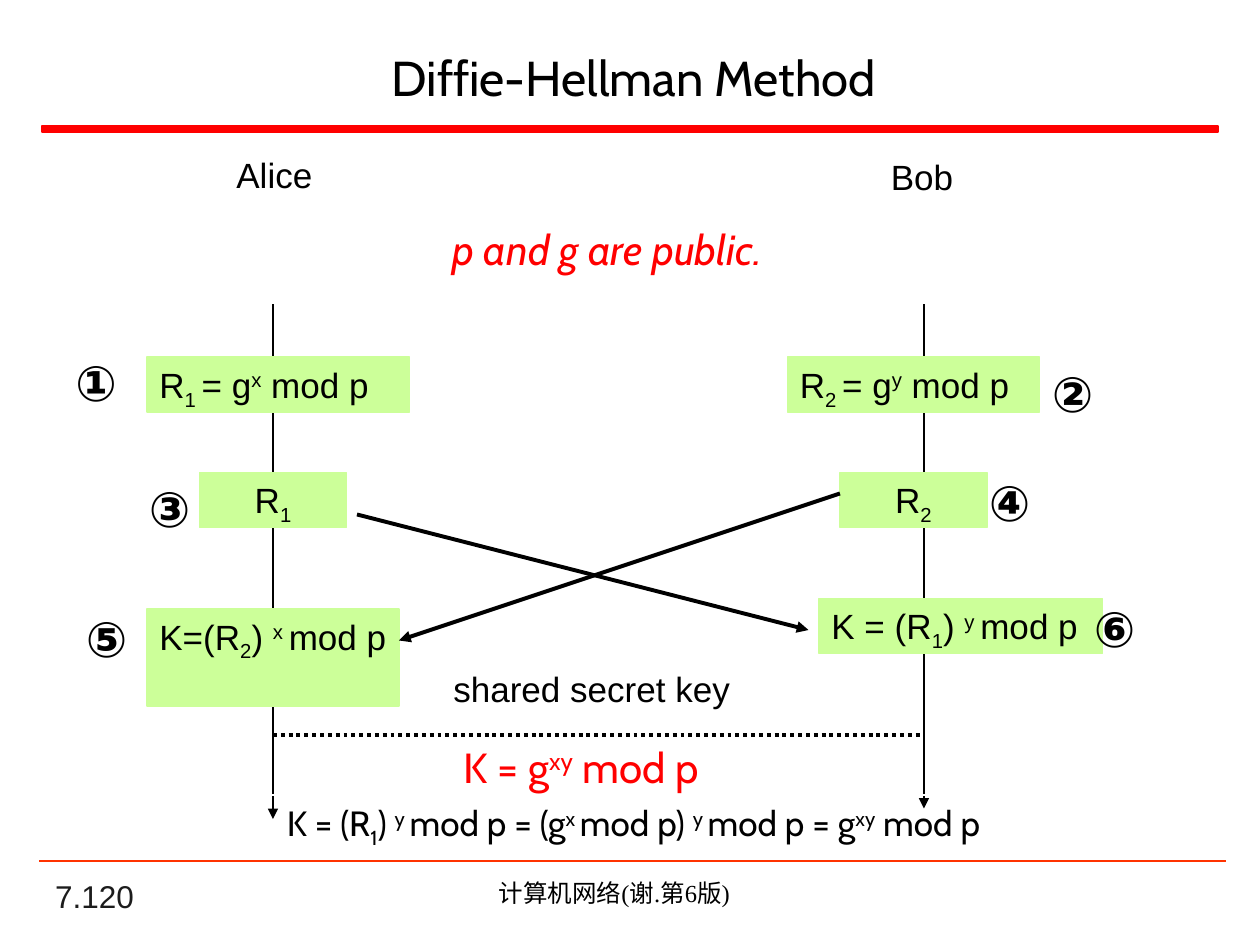
from lxml.etree import SubElement
from pptx import Presentation
from pptx.dml.color import RGBColor
from pptx.enum.dml import MSO_LINE as Dash
from pptx.enum.shapes import MSO_CONNECTOR as Conn, MSO_SHAPE as Form
from pptx.enum.text import MSO_ANCHOR as Anchor, MSO_AUTO_SIZE as Fit, PP_ALIGN as Align
from pptx.oxml.ns import qn
from pptx.util import Pt

INK = {"black": "000000", "red": "FF0000", "green": "CCFF99",
       "white": "FFFFFF", "orange": "FF3300", "gray": "1C1C1C"}
BASE = {"_": "-25000", "^": "30000"}
ALICE, BOB = 156, 528  # x of the two time lines


def paint(name):
    return RGBColor.from_string(INK[name])


def write(shape, text, size=20, font="Arial", ink="black", bold=False,
          slant=False, align=Align.LEFT, anchor=Anchor.TOP, wrap=True, grow=True):
    """Fill a shape; pieces between bars that start with _ or ^ are sub- or superscript."""
    frame = shape.text_frame
    frame.word_wrap = wrap
    frame.auto_size = Fit.SHAPE_TO_FIT_TEXT if grow else Fit.NONE
    frame.vertical_anchor = anchor
    para = frame.paragraphs[0]
    para.alignment = align
    for piece in text.split("|"):
        run = para.add_run()
        run.text = piece.lstrip("_^")
        style = run.font
        style.size, style.name = Pt(size), font
        style.bold, style.italic = bold, slant
        style.color.rgb = paint(ink)
        if piece[0] in BASE:
            run._r.get_or_add_rPr().set("baseline", BASE[piece[0]])


def label(slide, text, x, y, w, h, **style):
    box = slide.shapes.add_textbox(Pt(x), Pt(y), Pt(w), Pt(h))
    write(box, text, **style)


def block(slide, x, y, w, h, fill=None, edge=None, text=None, **style):
    box = slide.shapes.add_shape(Form.RECTANGLE, Pt(x), Pt(y), Pt(w), Pt(h))
    box.shadow.inherit = False
    if fill:
        box.fill.solid()
        box.fill.fore_color.rgb = paint(fill)
    else:
        box.fill.background()
    box.line.color.rgb = paint(edge or fill)
    box.line.width = Pt(1)
    if text:
        write(box, text, **style)


def rule(slide, x1, y1, x2, y2, width=1.5, ink="black", head=False, dash=None):
    line = slide.shapes.add_connector(Conn.STRAIGHT, Pt(x1), Pt(y1), Pt(x2), Pt(y2))
    line.line.color.rgb = paint(ink)
    line.line.width = Pt(width)
    if dash:
        line.line.dash_style = dash
    if head:
        SubElement(line.line._get_or_add_ln(), qn("a:tailEnd"), type="triangle")
    SubElement(line._element.spPr, qn("a:effectLst"))


def main():
    deck = Presentation()
    deck.slide_width, deck.slide_height = Pt(720), Pt(540)
    slide = deck.slides.add_slide(deck.slide_layouts[5])

    # Title and page furniture
    title = slide.shapes.title
    title.left, title.top, title.width, title.height = Pt(29.5), Pt(18), Pt(665), Pt(52)
    write(title, "Diffie-Hellman Method", size=28, font="Cabin",
          align=Align.CENTER, anchor=Anchor.MIDDLE, grow=False)
    block(slide, 24, 72, 672, 3.6, fill="red")
    rule(slide, 22.5, 492, 700.5, 492, ink="orange")
    label(slide, "7.120", 24.5, 502.5, 150, 24, size=18, ink="gray",
          anchor=Anchor.BOTTOM, grow=False)
    label(slide, "计算机网络(谢.第6版)", 204, 498, 294, 24.5, size=14,
          font="Times New Roman", align=Align.CENTER, grow=False)

    # Time lines of the two parties
    rule(slide, ALICE, 174, ALICE, 468, head=True)
    rule(slide, BOB, 174, BOB, 462, head=True)
    label(slide, "Alice", 128, 84, 58, 31, wrap=False)
    label(slide, "Bob", 502, 85.5, 50, 31, wrap=False)

    # Steps on the time lines
    steps = [
        (84, 204, 150, 31.5, "R|_1 |= g|^x| mod p", Align.LEFT),
        (450, 204, 144, 31.5, "R|_2 |= g|^y| mod p", Align.LEFT),
        (114, 270, 84, 31.5, "R|_1", Align.CENTER),
        (480, 270, 84, 31.5, "R|_2", Align.CENTER),
        (468, 342, 162, 31.5, "K = (R|_1|) |^y |mod p", Align.LEFT),
        (84, 348, 144, 55.5, "K=(R|_2|) |^x |mod p", Align.LEFT),
    ]
    for x, y, w, h, text, align in steps:
        block(slide, x, y, w, h, fill="green", text=text, align=align)

    # Exchange of R1 and R2, and the link between equal keys
    rule(slide, 204, 294, 462, 360, width=2.25, head=True)
    rule(slide, 480, 282, 228, 366, width=2.25, head=True)
    rule(slide, ALICE, 420, BOB, 420, width=2.25, dash=Dash.ROUND_DOT)

    # Shared key
    block(slide, 252, 378, 186, 31.5, edge="white", text="shared secret key")
    block(slide, 29, 454.5, 666, 31, edge="white", font="Cabin", align=Align.CENTER,
          text="K = (R|_1|) |^y |mod p = (g|^x |mod p) |^y |mod p = g|^xy| mod p")
    label(slide, "K = g|^xy| mod p", 258, 420, 165, 36, size=24, font="Cabin",
          ink="red", wrap=False)
    label(slide, "p and g are public.", 224, 126, 246, 32.5, size=24, font="Cabin",
          ink="red", slant=True, align=Align.CENTER, anchor=Anchor.MIDDLE, grow=False)

    # Step numbers
    marks = [("①", 36, 198), ("②", 594, 204), ("③", 78, 270),
             ("④", 558, 266.5), ("⑤", 42, 344), ("⑥", 618, 338.5)]
    for mark, x, y in marks:
        label(slide, mark, x, y, 39, 36, size=28, bold=True, wrap=False)

    deck.save("out.pptx")


if __name__ == "__main__":
    main()
